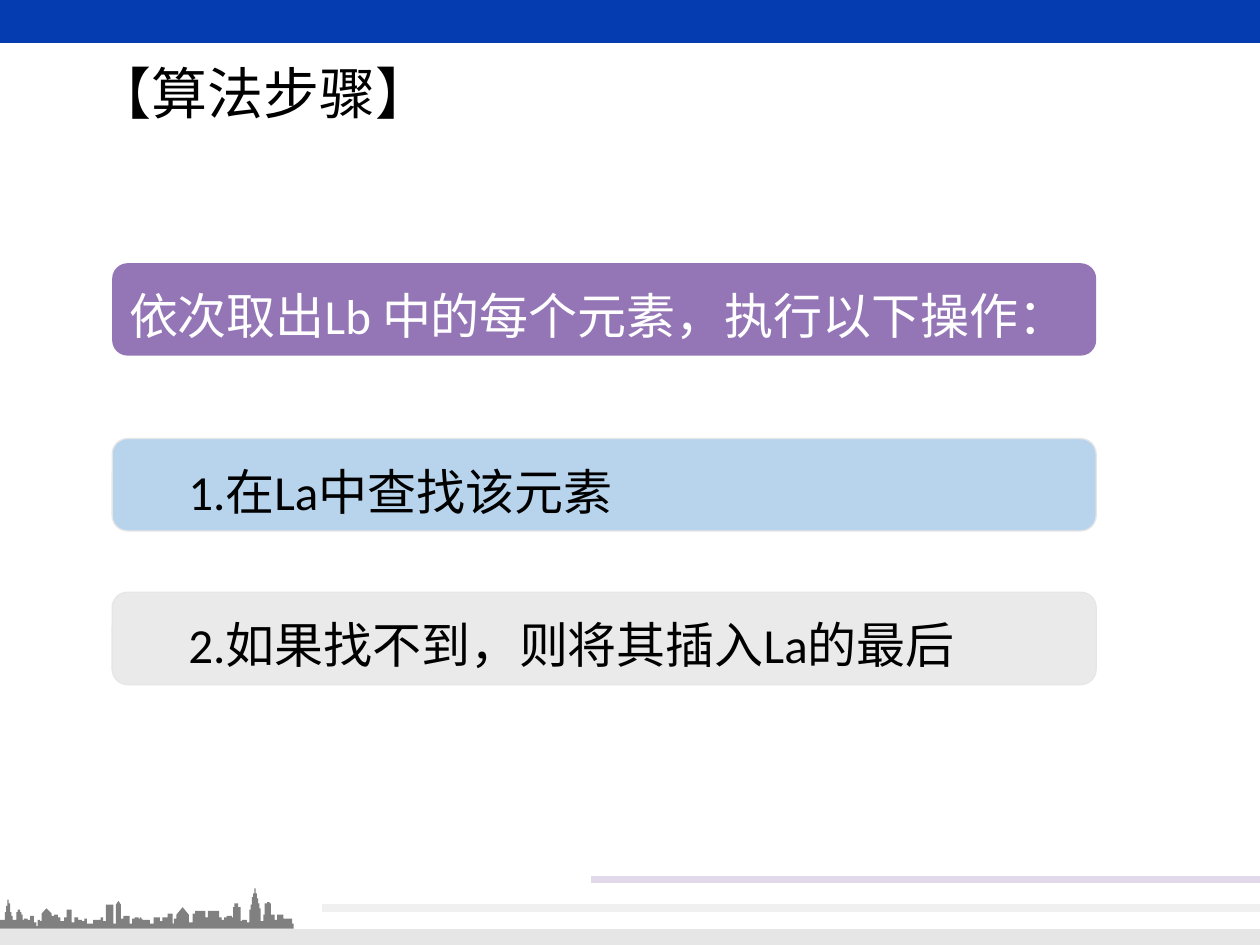
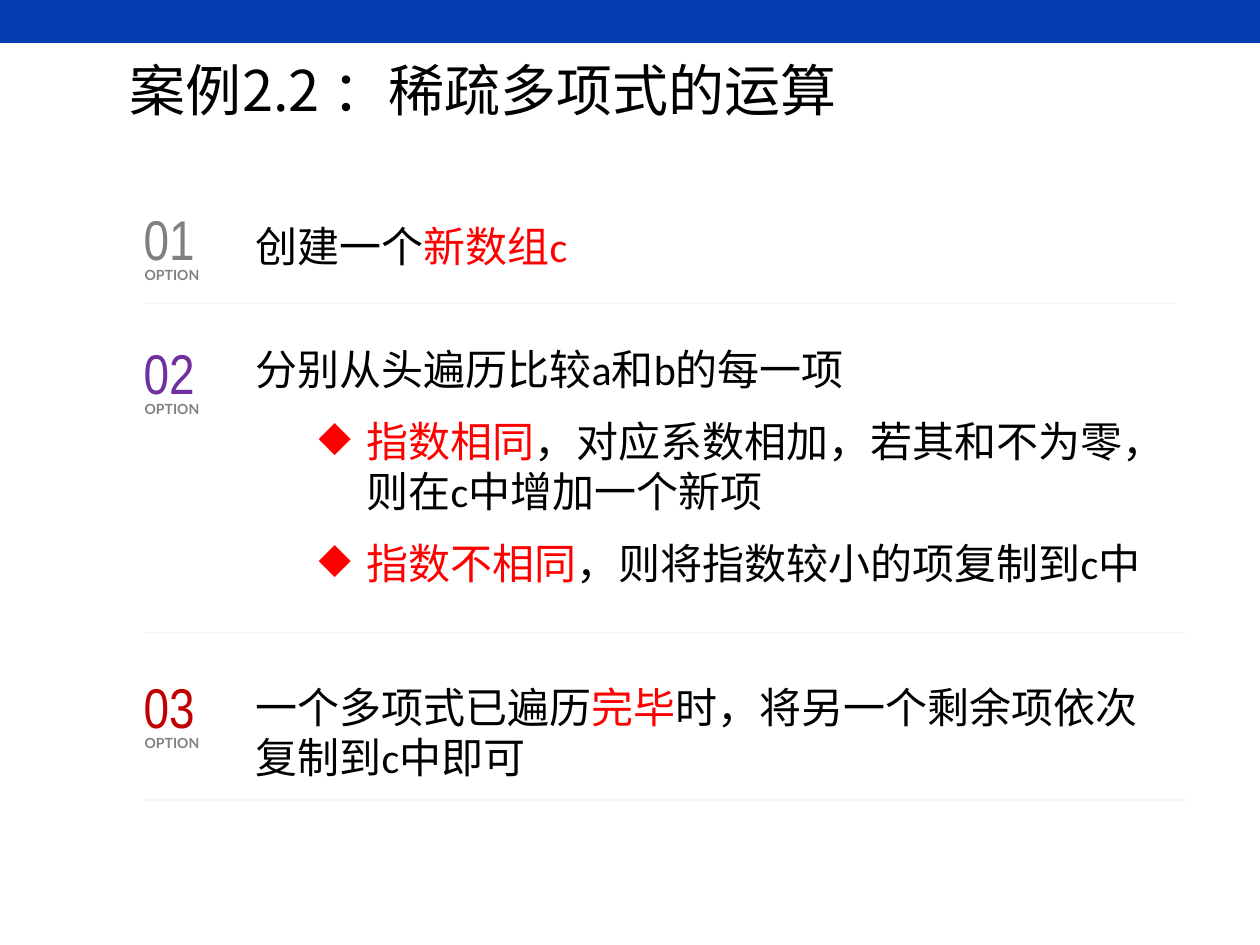
import pptx
import pptx.util
import pptx.dml.color
import pptx.enum.shapes
import pptx.enum.text
import pptx.oxml
import pptx.oxml.ns
from dataclasses import dataclass

Pt = pptx.util.Pt
ANCHOR = pptx.enum.text.MSO_ANCHOR
SHAPE = pptx.enum.shapes.MSO_SHAPE

# ---------- Content ----------
STEPS_TITLE = "【算法步骤】"
CARDS = [  # text, top, fill, outline, text colour, left inset
    ("依次取出Lb 中的每个元素，执行以下操作：", 150.4, "banner", None, "white", 7.2),
    ("1.在La中查找该元素", 250.6, "card_blue", "pale", "black", 41),
    ("2.如果找不到，则将其插入La的最后", 338.4, "card_grey", "pale", "black", 41),
]

CASE_TITLE = "案例2.2 ：稀疏多项式的运算"
# Each paragraph is (bulleted, [(text, colour), ...])
OPTIONS = [
    dict(number="01", colour="grey", top=116.6, body_top=122.4, body_height=36.7,
         rule_y=173.5, rule_right=671.8,
         body=[(False, [("创建一个", "black"), ("新数组c", "red")])]),
    dict(number="02", colour="purple", top=193, body_top=193, body_height=152.6,
         rule_y=361.4, rule_right=677.5,
         body=[(False, [("分别从头遍历比较a和b的每一项", "black")]),
               (True, [("指数相同", "red"),
                       ("，对应系数相加，若其和不为零，则在c中增加一个新项", "black")]),
               (True, [("指数不相同", "red"),
                       ("，则将指数较小的项复制到c中", "black")])]),
    dict(number="03", colour="dark_red", top=383.8, body_top=385.9, body_height=65.5,
         rule_y=457.2, rule_right=677.5,
         body=[(False, [("一个多项式已遍历", "black"), ("完毕", "red"),
                        ("时，将另一个剩余项依次复制到c中即可", "black")])]),
]

# Footer stripes: left, y, weight, colour
STRIPES = [(0, 536.4, 11.25, "pale"), (184.3, 519.1, 4.5, "stripe_grey"),
           (337.7, 502.6, 4.5, "stripe_lilac")]

# Skyline in units of 0.72 pt: from each x on, the height above the ground
SKYLINE = [
    (0, 7), (4, 13), (5, 18), (6, 23), (7, 20), (8, 13), (9, 10), (10, 7),
    (13, 13), (14, 15), (16, 13), (17, 11), (18, 7), (19, 8), (22, 7), (24, 10),
    (27, 5), (29, 2), (30, 7), (32, 6), (33, 12), (41, 10), (43, 11), (46, 9),
    (48, 6), (51, 9), (53, 15), (57, 5), (59, 9), (62, 7), (65, 6), (67, 8),
    (69, 4), (74, 7), (80, 9), (82, 6), (84, 19), (90, 4), (92, 19), (96, 8),
    (98, 10), (103, 4), (105, 8), (107, 9), (110, 8), (111, 9), (112, 8),
    (113, 7), (119, 4), (122, 9), (127, 6), (129, 9), (133, 12), (137, 4),
    (138, 8), (140, 11), (150, 5), (153, 12), (155, 14), (163, 9), (165, 14),
    (174, 9), (176, 7), (178, 9), (180, 10), (184, 9), (185, 17), (186, 20),
    (189, 17), (191, 6), (192, 7), (196, 5), (198, 15), (199, 19), (200, 25),
    (201, 28), (202, 32), (203, 28), (204, 24), (205, 20), (206, 16), (207, 6),
    (209, 11), (210, 20), (212, 21), (214, 20), (215, 11), (218, 7), (220, 11),
    (225, 8), (232, 4), (233, 0),
]
GABLES = {33: (37, 16), 92: (94, 22), 140: (145, 17)}  # left edge: peak


# ---------- Theme ----------
@dataclass(frozen=True)
class Theme:
    width: float = 720
    height: float = 540
    ground: float = 530.64
    unit: float = 0.72
    title_size: float = 32
    card_size: float = 28
    body_size: float = 24
    label_size: float = 8
    text_font: str = "Calibri"
    title_font: str = "Noto Sans CJK SC"
    number_font: str = "Arial Narrow"
    label_font: str = "Lato"


THEME = Theme()
COLOURS = dict(
    band="053CAF", banner="9476B6", card_blue="B8D4EC", card_grey="EAEAEA",
    pale="E7E6E6", stripe_grey="F1F0F0", stripe_lilac="E2D9EB", rule="F5F5F5",
    grey="808080", label="818181", purple="7030A0", dark_red="C00000",
    red="FF0000", black="000000", white="FFFFFF")


# ---------- Helpers ----------
def colour(name):
    return pptx.dml.color.RGBColor.from_string(COLOURS[name])


def apply(target, values):
    for name, value in values.items():
        setattr(target, name, value)


def paint(shape, fill, outline=None):
    shape.shadow.inherit = False
    shape.fill.solid()
    shape.fill.fore_color.rgb = colour(fill)
    if outline:
        shape.line.color.rgb = colour(outline)
        shape.line.width = Pt(0.75)
    else:
        shape.line.fill.background()


def add_span(para, text, size, tint, font, bold=False):
    span = para.add_run()
    span.text = text
    apply(span.font, dict(name=font, size=Pt(size), bold=bold))
    span.font.color.rgb = colour(tint)
    east = pptx.oxml.parse_xml(
        f'<a:ea {pptx.oxml.ns.nsdecls("a")} typeface="{THEME.title_font}"/>')
    span.font._element.append(east)


def format_frame(shape, anchor=ANCHOR.TOP, insets=(7.2, 3.6, 7.2, 3.6), wrap=True):
    frame = shape.text_frame
    left, top, right, bottom = map(Pt, insets)
    apply(frame, dict(word_wrap=wrap, auto_size=pptx.enum.text.MSO_AUTO_SIZE.NONE,
                      vertical_anchor=anchor, margin_left=left, margin_top=top,
                      margin_right=right, margin_bottom=bottom))
    frame.paragraphs[0].alignment = pptx.enum.text.PP_ALIGN.LEFT
    return frame


def add_box(page, left, top, width, height, **layout):
    box = page.shapes.add_textbox(Pt(left), Pt(top), Pt(width), Pt(height))
    return format_frame(box, **layout)


def add_line(page, left, right, y, weight, tint):
    line = page.shapes.add_connector(
        pptx.enum.shapes.MSO_CONNECTOR.STRAIGHT, Pt(left), Pt(y), Pt(right), Pt(y))
    line.line.color.rgb = colour(tint)
    line.line.width = Pt(weight)
    line._element.spPr.append(
        pptx.oxml.parse_xml(f'<a:effectLst {pptx.oxml.ns.nsdecls("a")}/>'))


def set_bullet(para):
    para.level = 1
    props = para._p.get_or_add_pPr()
    props.set("marL", str(Pt(63.4)))
    props.set("indent", str(Pt(-27.4)))
    space = pptx.oxml.ns.nsdecls("a")
    for part in (f'<a:buClr {space}><a:srgbClr val="{COLOURS["red"]}"/></a:buClr>',
                 f'<a:buChar {space} char="◆"/>'):
        props.append(pptx.oxml.parse_xml(part))


def add_page(deck, title, left, top, width, height):
    """Title-only slide with the shared top band and title style."""
    page = deck.slides.add_slide(deck.slide_layouts[5])
    band = page.shapes.add_shape(SHAPE.RECTANGLE, 0, 0, Pt(THEME.width), Pt(24.5))
    paint(band, "band")
    heading = page.shapes.title
    apply(heading, dict(left=Pt(left), top=Pt(top), width=Pt(width), height=Pt(height)))
    para = format_frame(heading, anchor=ANCHOR.MIDDLE).paragraphs[0]
    add_span(para, title, THEME.title_size, "black", THEME.title_font)
    return page


# ---------- Slide parts ----------
def add_card(page, text, top, fill, outline, tint, inset):
    card = page.shapes.add_shape(
        SHAPE.ROUNDED_RECTANGLE, Pt(64.1), Pt(top), Pt(562.3), Pt(52.8))
    paint(card, fill, outline)
    frame = format_frame(card, anchor=ANCHOR.MIDDLE, insets=(inset, 3.6, 7.2, 3.6))
    para = frame.paragraphs[0]
    para.line_spacing = 1.2
    add_span(para, text, THEME.card_size, tint, THEME.text_font)


def add_skyline(page):
    points, height = [], 0
    for x, new_height in SKYLINE:
        points += [(x, -height), (x, -new_height)]
        height = new_height
        if x in GABLES:
            peak_x, peak_height = GABLES[x]
            points += [(peak_x, -peak_height), (2 * peak_x - x, -height)]
    outline = page.shapes.build_freeform(0, 0, scale=Pt(THEME.unit))
    outline.add_line_segments(points, close=True)
    paint(outline.convert_to_shape(0, Pt(THEME.ground)), "grey")


def add_option(page, option):
    left, top = 82.1, option["top"]
    number = add_box(page, left, top, 35.3, 38.9,
                     anchor=ANCHOR.MIDDLE, insets=(0, 0, 0, 0))
    add_span(number.paragraphs[0], option["number"], THEME.title_size,
             option["colour"], THEME.number_font)
    label = add_box(page, left - 6.5, top + 32.4, 45.4, 17.3, wrap=False)
    add_span(label.paragraphs[0], "OPTION", THEME.label_size, "label",
             THEME.label_font, bold=True)
    add_line(page, left, option["rule_right"], option["rule_y"], 1, "rule")

    body = add_box(page, 139, option["body_top"], 532.8, option["body_height"])
    for index, (bulleted, spans) in enumerate(option["body"]):
        para = body.add_paragraph() if index else body.paragraphs[0]
        if index:
            para.space_before = Pt(THEME.body_size / 2)
        if bulleted:
            set_bullet(para)
        for text, tint in spans:
            add_span(para, text, THEME.body_size, tint, THEME.text_font)


# ---------- Deck ----------
def main():
    deck = pptx.Presentation()
    apply(deck, dict(slide_width=Pt(THEME.width), slide_height=Pt(THEME.height)))

    # Algorithm steps
    page = add_page(deck, STEPS_TITLE, 47.5, 28.8, 297.4, 47.5)
    for card in CARDS:
        add_card(page, *card)
    for left, y, weight, tint in STRIPES:
        add_line(page, left, THEME.width, y, weight, tint)
    add_skyline(page)

    # Sparse polynomial case
    page = add_page(deck, CASE_TITLE, 67, 26.6, 504, 48.2)
    for option in OPTIONS:
        add_option(page, option)

    deck.save("out.pptx")


if __name__ == "__main__":
    main()
